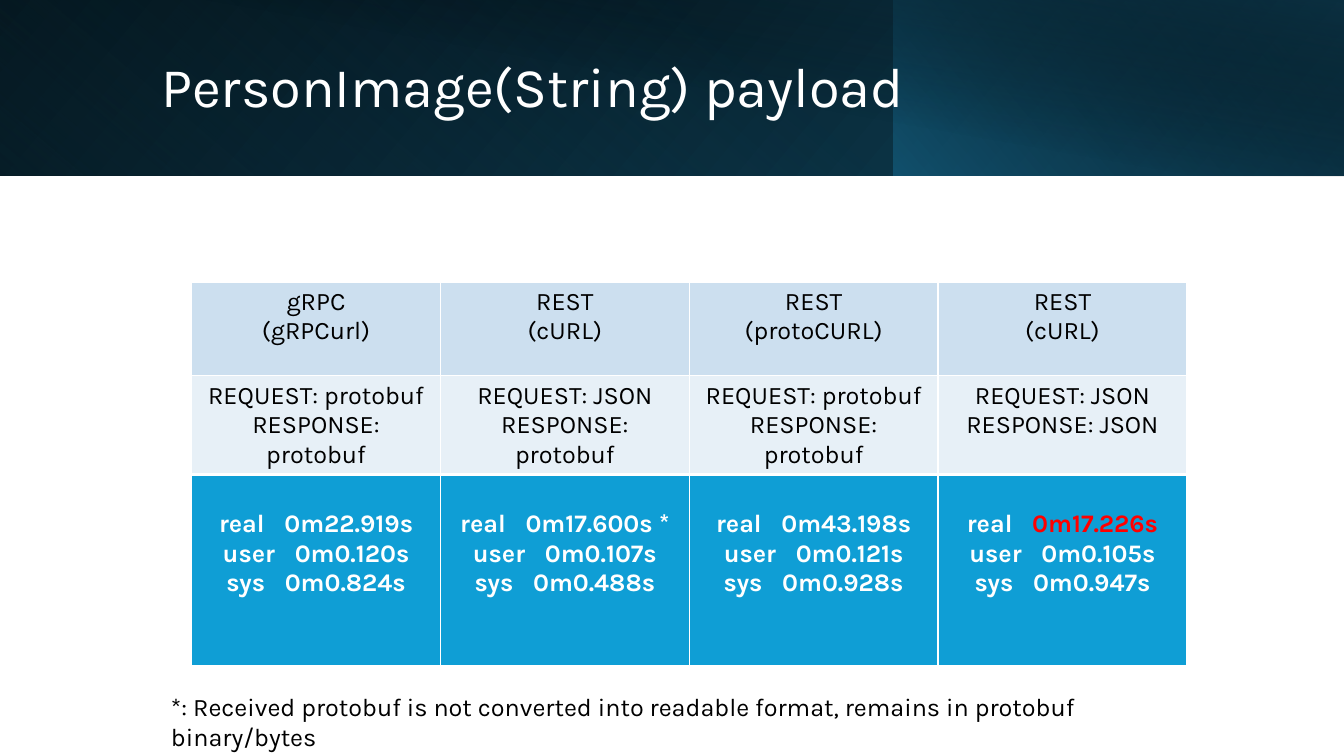
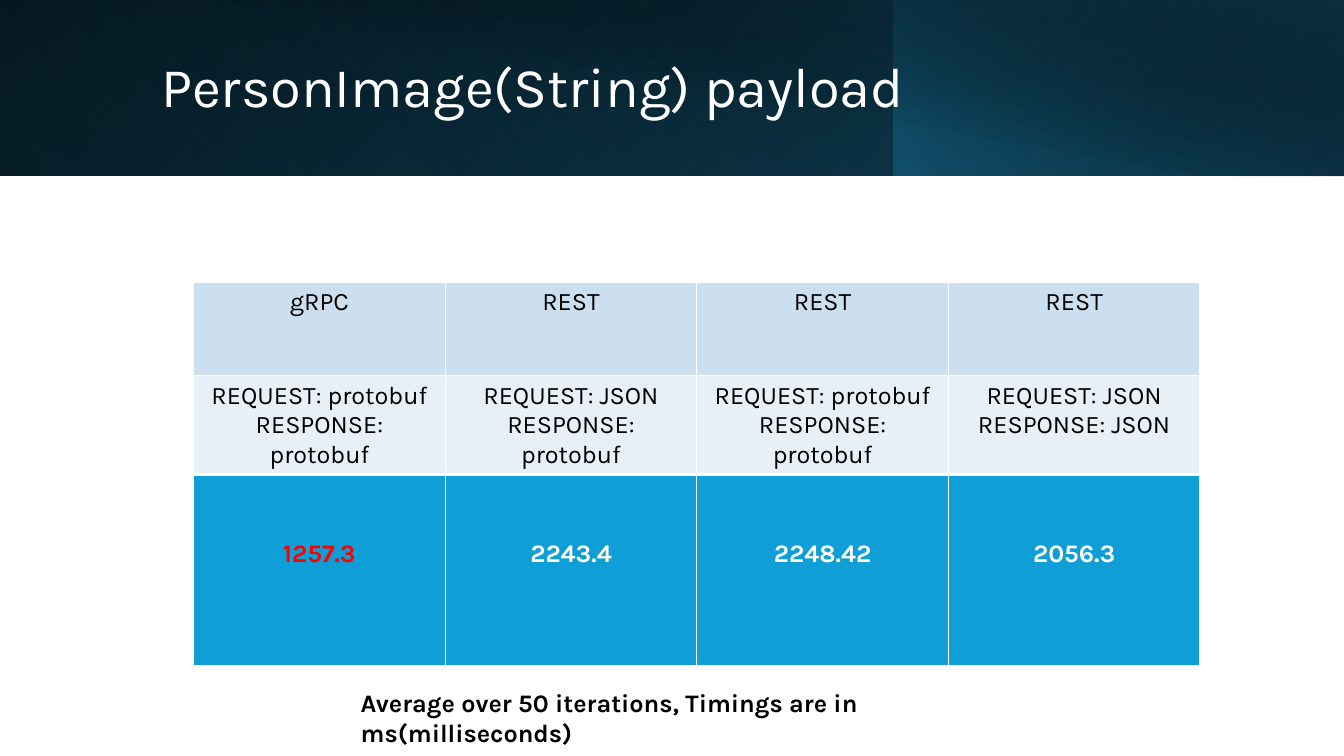
"""Build two slides that compare timings of the PersonImage(String) payload."""
from dataclasses import dataclass

from lxml import etree
from pptx import Presentation
from pptx.dml.color import RGBColor
from pptx.enum import shapes, text
from pptx.oxml import ns
from pptx.util import Cm, Pt


@dataclass(frozen=True)
class Theme:
    font: str = "Karla"
    title_size: int = 40
    body_size: int = 18
    white: str = "FFFFFF"
    black: str = "000000"
    best: str = "FF0000"
    head: str = "CCDFEF"
    label: str = "E7F0F7"
    result: str = "0F9ED5"
    accent: str = "156082"
    navy: str = "0B3041"
    teal: str = "104862"


T = Theme()
A = ns.nsdecls("a")


def style(font, color, size=T.body_size, bold=False):
    font.name = T.font
    font.size = Pt(size)
    font.bold = bold
    font.color.rgb = RGBColor.from_string(color)


BANDS = [
    (0, 33.87, 4.42, True, 0, 140, [(0, T.black, 100), (100, T.teal, 100)]),
    (0, 22.56, 4.42, True, 180, 230, [(20, T.accent, 0), (100, T.navy, 55)]),
    (22.53, 11.33, 4.42, True, 0, 220, [(0, T.accent, 66), (100, T.black, 30)]),
    (1.27, 32.6, 4.45, False, 0, 280, [(50, T.black, 0), (99, T.navy, 52)]),
]
TITLE = "PersonImage(String) payload"
FORMATS = [
    ["REQUEST: protobuf", "RESPONSE: protobuf"],
    ["REQUEST: JSON", "RESPONSE: protobuf"],
    ["REQUEST: protobuf", "RESPONSE: protobuf"],
    ["REQUEST: JSON", "RESPONSE: JSON"],
]
BEST = {"0m17.226s", "1257.3"}
ROWS = [
    (2.36, T.head, T.black, False, 1, 1),
    (2.08, T.label, T.black, False, 1, 3),
    (4.8, T.result, T.white, True, 3, 1),
]
SLIDES = [
    {
        "left": 4.83,
        "column": 6.27,
        "top_margin": 0.88,
        "heads": [["gRPC", "(gRPCurl)"], ["REST", "(cURL)"],
                  ["REST", "(protoCURL)"], ["REST", "(cURL)"]],
        "results": [
            ["real 0m22.919s", "user 0m0.120s", "sys 0m0.824s"],
            ["real 0m17.600s *", "user 0m0.107s", "sys 0m0.488s"],
            ["real 0m43.198s", "user 0m0.121s", "sys 0m0.928s"],
            ["real 0m17.226s", "user 0m0.105s", "sys 0m0.947s"],
        ],
        "note": "*: Received protobuf is not converted into readable format, "
                "remains in protobuf binary/bytes",
        "note_box": (4.06, 17.3, 25.73, 1.02),
        "note_bold": False,
    },
    {
        "left": 4.88,
        "column": 6.34,
        "top_margin": 1.63,
        "heads": [["gRPC"], ["REST"], ["REST"], ["REST"]],
        "results": [["1257.3"], ["2243.4"], ["2248.42"], ["2056.3"]],
        "note": "Average over 50 iterations, Timings are in ms(milliseconds)",
        "note_box": (8.84, 17.2, 17.45, 1.02),
        "note_bold": True,
    },
]

prs = Presentation()
prs.slide_width, prs.slide_height = Cm(33.87), Cm(19.05)

for page in SLIDES:
    s = prs.slides.add_slide(prs.slide_layouts[5])

    for left, width, height, flip, turn, angle, stops in BANDS:
        sp = s.shapes.add_shape(shapes.MSO_SHAPE.RECTANGLE,
                                Cm(left), 0, Cm(width), Cm(height))
        sp.rotation = turn
        sp.shadow.inherit = False
        sp.line.fill.background()
        spPr = sp._element.spPr
        if flip:
            spPr.get_or_add_xfrm().set("flipH", "1")
        marks = "".join(
            f'<a:gs pos="{pos * 1000}"><a:srgbClr val="{color}">'
            f'<a:alpha val="{alpha * 1000}"/></a:srgbClr></a:gs>'
            for pos, color, alpha in stops)
        spPr.insert(2, etree.fromstring(
            f'<a:gradFill {A} rotWithShape="1"><a:gsLst>{marks}</a:gsLst>'
            f'<a:lin ang="{angle * 60000}" scaled="0"/></a:gradFill>'))

    title = s.shapes.title
    s.shapes._spTree.append(title._element)
    title.left, title.top, title.width, title.height = Cm(3.81), Cm(0.81), Cm(27.48), Cm(2.87)
    tf = title.text_frame
    tf.text = TITLE
    tf.auto_size = text.MSO_AUTO_SIZE.NONE
    tf.vertical_anchor = text.MSO_ANCHOR.MIDDLE
    p = tf.paragraphs[0]
    p.alignment = text.PP_ALIGN.LEFT
    p.line_spacing = 0.9
    style(p.font, T.white, T.title_size)

    content = [page["heads"], FORMATS, page["results"]]
    columns = len(FORMATS)
    table = s.shapes.add_table(
        len(ROWS), columns, Cm(page["left"]), Cm(7.11),
        Cm(page["column"] * columns), Cm(sum(row[0] for row in ROWS))).table
    table.first_row = table.horz_banding = False
    for column in table.columns:
        column.width = Cm(page["column"])
    for r_index, (height, fill, color, bold, top, bottom) in enumerate(ROWS):
        table.rows[r_index].height = Cm(height)
        for c_index, lines in enumerate(content[r_index]):
            cell = table.cell(r_index, c_index)
            cell.fill.solid()
            cell.fill.fore_color.rgb = RGBColor.from_string(fill)
            tcPr = cell._tc.get_or_add_tcPr()
            sides = [("L", 1), ("R", 1), ("T", top), ("B", bottom)]
            for i, (side, weight) in enumerate(sides):
                tcPr.insert(i, etree.fromstring(
                    f'<a:ln{side} {A} w="{Pt(weight)}"><a:solidFill>'
                    f'<a:srgbClr val="{T.white}"/></a:solidFill></a:ln{side}>'))
            is_result = fill == T.result
            if is_result:
                cell.margin_top = Cm(page["top_margin"])
            tf = cell.text_frame
            for i, line in enumerate(lines):
                p = tf.add_paragraph() if i else tf.paragraphs[0]
                p.alignment = text.PP_ALIGN.CENTER
                style(p.font, color, bold=bold)
                for part in line.partition(" ") if is_result else [line]:
                    if not part:
                        continue
                    r = p.add_run()
                    r.text = part
                    if part == " ":
                        r._r.get_or_add_rPr().set("spc", "950")
                    if part in BEST:
                        r.font.color.rgb = RGBColor.from_string(T.best)

    note = s.shapes.add_textbox(*map(Cm, page["note_box"]))
    tf = note.text_frame
    tf.word_wrap = True
    tf.auto_size = text.MSO_AUTO_SIZE.SHAPE_TO_FIT_TEXT
    p = tf.paragraphs[0]
    p.text = page["note"]
    style(p.font, T.black, bold=page["note_bold"])

prs.save("out.pptx")
